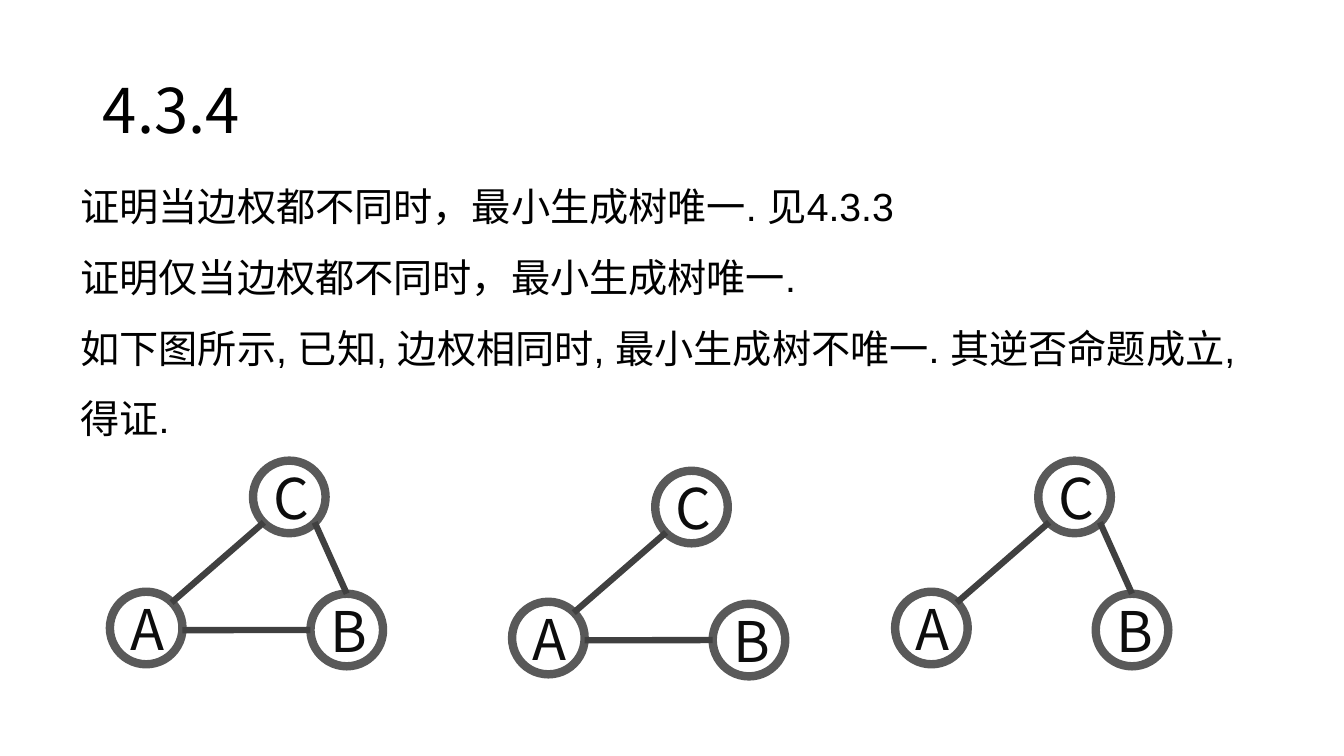
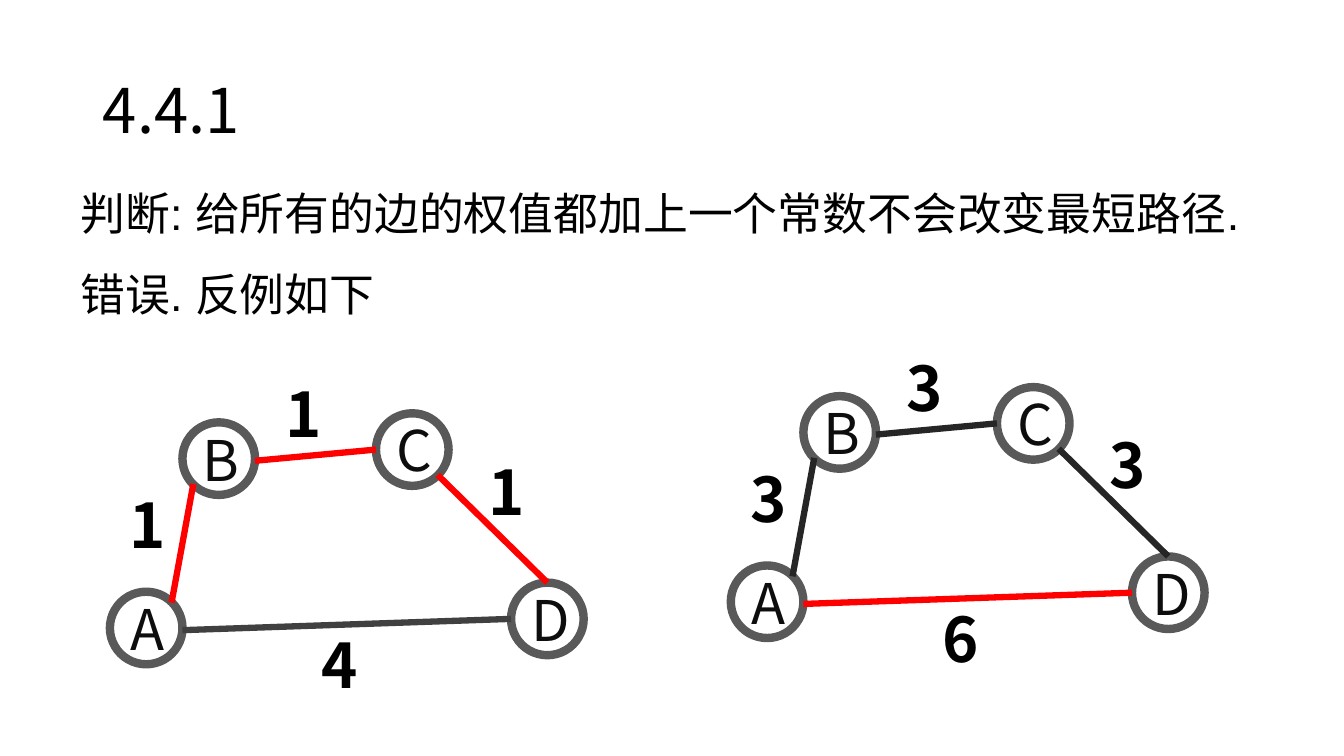
from lxml import etree
from pptx import Presentation
from pptx.dml.color import RGBColor
from pptx.enum.shapes import MSO_CONNECTOR, MSO_SHAPE
from pptx.enum.text import MSO_ANCHOR, MSO_AUTO_SIZE, PP_ALIGN
from pptx.oxml.ns import qn
from pptx.util import Inches, Pt

STRAIGHT, CIRCLE = MSO_CONNECTOR.STRAIGHT, MSO_SHAPE.OVAL
MIDDLE, TOP = MSO_ANCHOR.MIDDLE, MSO_ANCHOR.TOP
LEFT, CENTER = PP_ALIGN.LEFT, PP_ALIGN.CENTER
FIXED, GROW = MSO_AUTO_SIZE.NONE, MSO_AUTO_SIZE.SHAPE_TO_FIT_TEXT
TITLE_ONLY = 5

# Shared look
BLACK, INK, RING, RED = "000000", "0D0D0D", "595959", "FF0000"
EDGE_GREY, EDGE_DARK = "404040", "262626"
LATIN, CJK = "Arial", "Noto Sans CJK SC"
TITLE_FONT = {"size": Pt(44), "name": CJK, "bold": False}
NODE_FONT = {"size": Pt(40), "name": CJK}
WEIGHT_FONT = {"size": Pt(44), "name": CJK, "bold": True}

# Grid: ten columns or rows to the inch
COLUMNS, ROWS = 133.33, 75
TITLE_BOX = (9.2, 4, 35.5, 14.5)
BODY_LEFT, BODY_TOP, BODY_WIDTH = 7, 15.3, 119.4
NODE_SIZE = 7.2
WEIGHT_SIZE = (7.1, 8.4)

# Where an edge may touch a node, as shares of the node's size
PORTS = {"top": (0.5, 0), "left": (0, 0.5), "right": (1, 0.53),
         "upper right": (0.85, 0.15), "lower left": (0.15, 0.85),
         "lower right": (0.85, 0.85)}

# Graphs: node and weight offsets from node A, and the ports of each edge
TRIANGLE = {"A": (0, 0), "B": (19.9, 0.2), "C": (14.2, -13)}
TRIANGLE_EDGES = {"AB": ("right", "left"),
                  "AC": ("upper right", "lower left"),
                  "CB": ("lower right", "top")}
QUAD = {"A": (0, 0), "B": (7.2, -16.8), "C": (26.4, -17.7), "D": (39.8, -0.9)}
QUAD_EDGES = {"AD": ("right", "left"),
              "AB": ("upper right", "lower left"),
              "BC": ("right", "left"),
              "CD": ("lower right", "top")}
QUAD_WEIGHTS = {"AD": (20, 3), "AB": (1, -10.9),
                "BC": (16.4, -21.9), "CD": (36.6, -14.2)}


def color(value):
    return RGBColor.from_string(value)


def grid(*lengths):
    return [Inches(length / 10) for length in lengths]


def shifted(origin, offset):
    return origin[0] + offset[0], origin[1] + offset[1]


def write(shape, lines, font, fill=BLACK, align=LEFT, spacing=1.0,
          anchor=TOP, fit=FIXED):
    frame = shape.text_frame
    frame.text = "\n".join(lines)
    frame_format = {"word_wrap": True, "vertical_anchor": anchor, "auto_size": fit}
    for name, value in frame_format.items():
        setattr(frame, name, value)
    for paragraph in frame.paragraphs:
        paragraph.alignment, paragraph.line_spacing = align, spacing
        for run in paragraph.runs:
            for name, value in font.items():
                setattr(run.font, name, value)
            run.font.color.rgb = color(fill)
            east_asian = etree.SubElement(run.font._element, qn("a:ea"))
            east_asian.set("typeface", CJK)


def add_topic(deck, number, lines, size, height):
    """Slide with its section number and body text."""
    slide = deck.slides.add_slide(deck.slide_layouts[TITLE_ONLY])
    title = slide.shapes.title
    title.left, title.top, title.width, title.height = grid(*TITLE_BOX)
    write(title, [number], TITLE_FONT, spacing=0.9, anchor=MIDDLE)
    body = slide.shapes.add_textbox(*grid(BODY_LEFT, BODY_TOP, BODY_WIDTH, height))
    write(body, lines, {"size": Pt(size), "name": LATIN}, spacing=1.5, fit=GROW)
    return slide


def add_node(slide, letter, corner):
    node = slide.shapes.add_shape(CIRCLE, *grid(*corner, NODE_SIZE, NODE_SIZE))
    node.shadow.inherit = False
    node.fill.background()
    node.line.color.rgb, node.line.width = color(RING), Pt(6)
    write(node, [letter], NODE_FONT, INK, CENTER, anchor=MIDDLE)


def add_edge(slide, start, end, stroke):
    edge = slide.shapes.add_connector(STRAIGHT, *grid(*start, *end))
    edge.line.color.rgb, edge.line.width = color(stroke), Pt(4.5)
    etree.SubElement(edge._element.spPr, qn("a:effectLst"))


def add_weight(slide, weight, corner):
    label = slide.shapes.add_textbox(*grid(*corner, *WEIGHT_SIZE))
    write(label, [weight], WEIGHT_FONT, fit=GROW)


def port_point(corner, port):
    return shifted(corner, [share * NODE_SIZE for share in PORTS[port]])


def add_graph(slide, origin, nodes, ports, strokes):
    """Draw the nodes, then each edge that has a stroke colour."""
    corners = {letter: shifted(origin, at) for letter, at in nodes.items()}
    for letter, corner in corners.items():
        add_node(slide, letter, corner)
    for pair, stroke in strokes.items():
        ends = [port_point(corners[letter], port)
                for letter, port in zip(pair, ports[pair])]
        add_edge(slide, *ends, stroke)


def add_weighted_graph(slide, origin, strokes, weights):
    add_graph(slide, origin, QUAD, QUAD_EDGES, strokes)
    for pair, weight in weights.items():
        add_weight(slide, weight, shifted(origin, QUAD_WEIGHTS[pair]))


def add_spanning_tree_slide(deck):
    slide = add_topic(deck, "4.3.4", [
        "证明当边权都不同时，最小生成树唯一. 见4.3.3",
        "证明仅当边权都不同时，最小生成树唯一.",
        "如下图所示, 已知, 边权相同时, 最小生成树不唯一. 其逆否命题成立, 得证.",
    ], 28, 28.6)
    # The full graph, then its two spanning trees
    for origin, edges in (((10.9, 58.7), ("AB", "AC", "CB")),
                          ((50.8, 59.7), ("AB", "AC")),
                          ((88.8, 58.7), ("AC", "CB"))):
        add_graph(slide, origin, TRIANGLE, TRIANGLE_EDGES,
                  dict.fromkeys(edges, EDGE_GREY))


def add_shortest_path_slide(deck):
    slide = add_topic(deck, "4.4.1", [
        "判断: 给所有的边的权值都加上一个常数不会改变最短路径.",
        "错误. 反例如下",
    ], 32, 17.2)
    # The shortest path is red, before and after adding 2 to each weight
    detour = ("AB", "BC", "CD")
    before = {"AD": 4, **dict.fromkeys(detour, 1)}
    for origin, direct, around, added in (((10.9, 58.7), EDGE_GREY, RED, 0),
                                          ((72.5, 56.1), RED, EDGE_DARK, 2)):
        strokes = {"AD": direct, **dict.fromkeys(detour, around)}
        weights = {pair: str(weight + added) for pair, weight in before.items()}
        add_weighted_graph(slide, origin, strokes, weights)


def main():
    deck = Presentation()
    deck.slide_width, deck.slide_height = grid(COLUMNS, ROWS)
    add_spanning_tree_slide(deck)
    add_shortest_path_slide(deck)
    deck.save("out.pptx")


if __name__ == "__main__":
    main()
